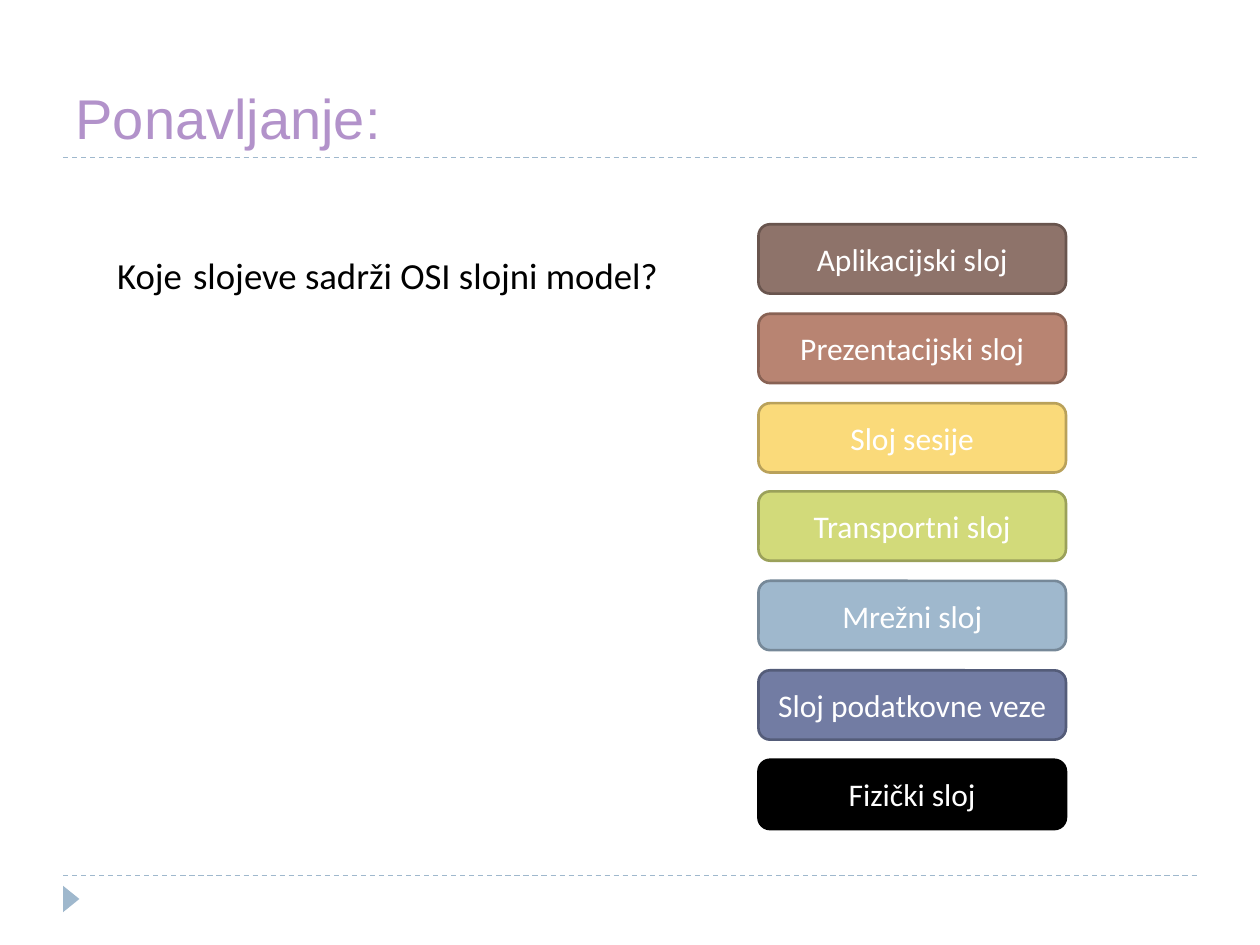
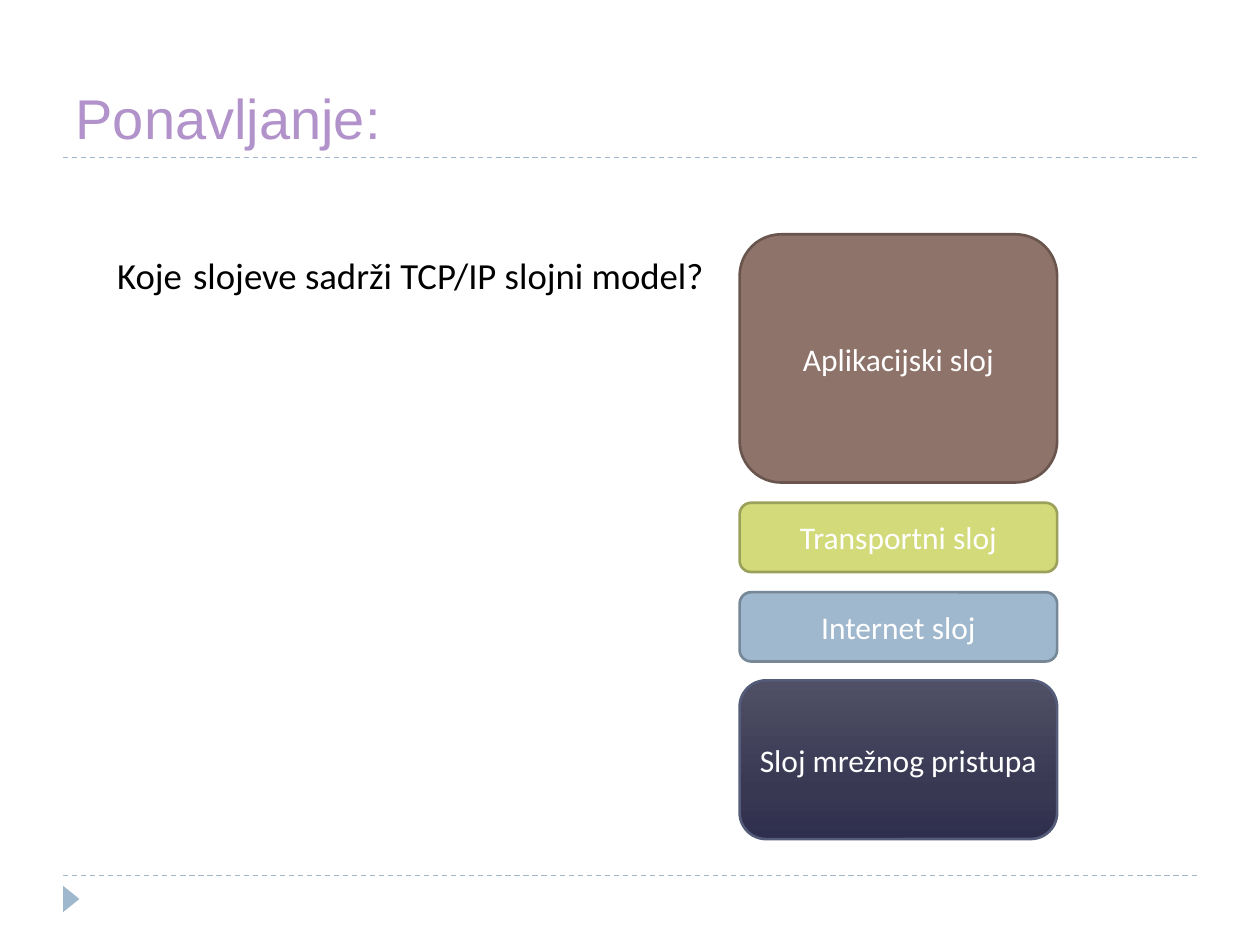
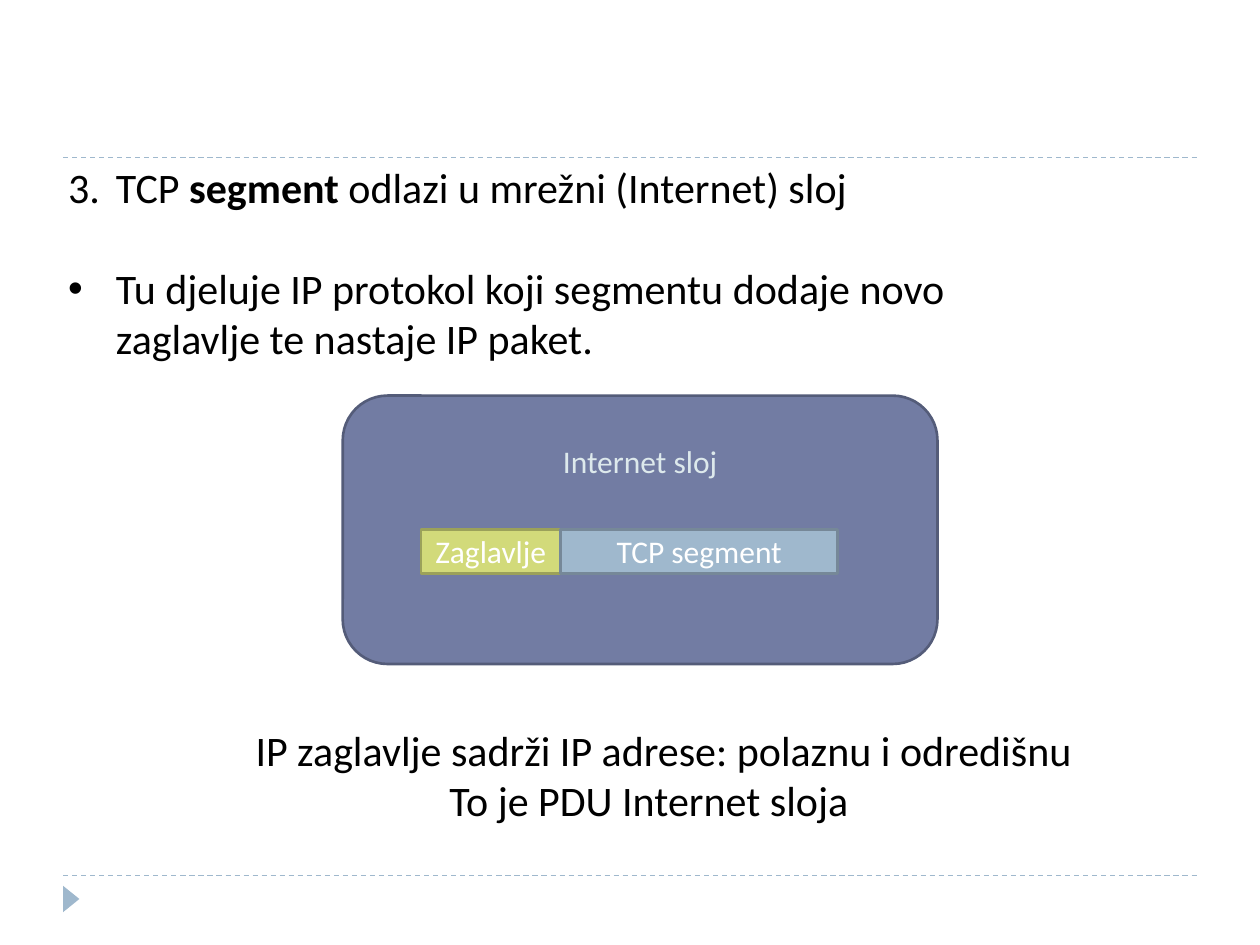
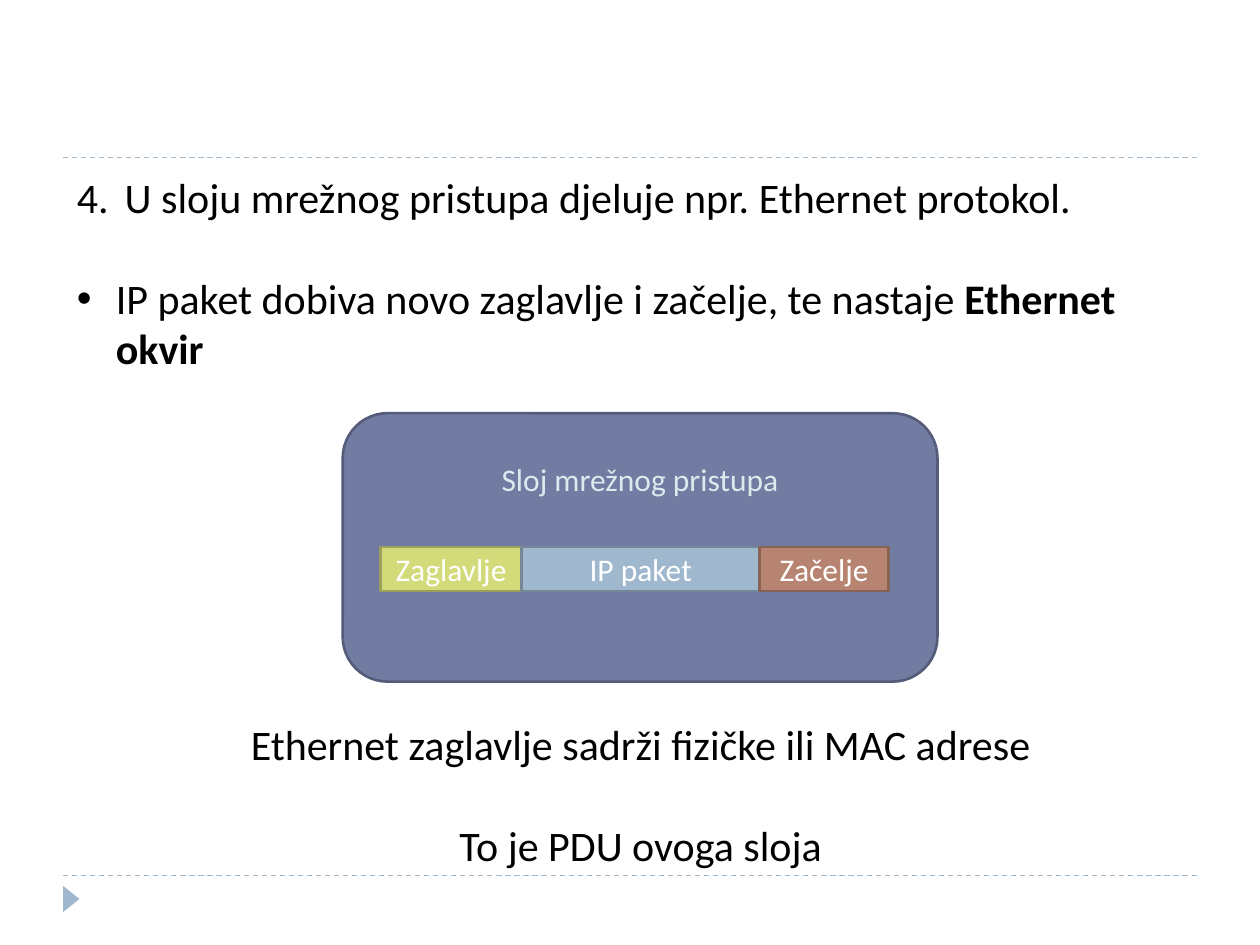
from copy import deepcopy

from lxml import etree
from pptx import Presentation
from pptx import util as u
from pptx.dml.color import RGBColor
from pptx.enum import dml, shapes, text
from pptx.oxml.ns import qn

PX = 9144  # EMU per px, 100 px to the inch

BLACK = RGBColor(0x00, 0x00, 0x00)
WHITE = RGBColor(0xFF, 0xFF, 0xFF)
LILAC = RGBColor(0xB2, 0x92, 0xCA)
PALE = RGBColor(0xDD, 0xE9, 0xEC)
SKY = RGBColor(0x9F, 0xB8, 0xCD)

# Fill and outline of each kind of layer
BROWN = RGBColor(0x8E, 0x73, 0x6A), RGBColor(0x69, 0x55, 0x4E)
RUST = RGBColor(0xB8, 0x84, 0x72), RGBColor(0x88, 0x62, 0x54)
YELLOW = RGBColor(0xFA, 0xDA, 0x7A), RGBColor(0xB9, 0xA1, 0x5A)
GREEN = RGBColor(0xD2, 0xDA, 0x7A), RGBColor(0x9B, 0xA1, 0x5A)
BLUE = SKY, RGBColor(0x76, 0x88, 0x98)
INDIGO = RGBColor(0x72, 0x7C, 0xA3), RGBColor(0x54, 0x5C, 0x79)
DARK = BLACK, BLACK
NIGHT = [(0, RGBColor(0x2E, 0x2E, 0x4D)), (0.3, RGBColor(0x38, 0x38, 0x53)),
         (1, RGBColor(0x4F, 0x4F, 0x65))]

HEAD = {"name": "Arial", "size": 32, "color": LILAC}
ASK = {"name": "Calibri", "size": 21, "color": BLACK}
BODY = {"name": "Calibri", "size": 24, "color": BLACK}
LABEL = {"name": "Calibri", "size": 18, "color": WHITE}
NAME = {**LABEL, "color": PALE}

LEFT, MID = text.PP_ALIGN.LEFT, text.PP_ALIGN.CENTER
ROUND = shapes.MSO_SHAPE.ROUNDED_RECTANGLE
RECT = shapes.MSO_SHAPE.RECTANGLE
GAP = 29  # points between separate paragraphs


def place(item, at):
    item.left, item.top, item.width, item.height = [n * PX for n in at]


def style(font, form):
    for key, val in form.items():
        if key == "color":
            font.color.rgb = val
        else:
            setattr(font, key, u.Pt(val) if key == "size" else val)


def write(para, runs, form, align=LEFT, gap=0):
    """Fill a paragraph with runs, each a string or (string, changes)."""
    para.alignment = align
    para.space_before = u.Pt(gap)
    for part in [runs] if isinstance(runs, str) else runs:
        words, extra = (part, {}) if isinstance(part, str) else part
        run = para.add_run()
        run.text = words
        style(run.font, {**form, **extra})


def mark(para, indent=0, start=None):
    """Set the hanging indent and a number, a bullet or no mark."""
    props = para._p.get_or_add_pPr()
    props.set("marL", str(indent * PX))
    props.set("indent", str(-indent * PX))
    if start:
        etree.SubElement(props, qn("a:buAutoNum"), type="arabicPeriod", startAt=str(start))
    elif indent:
        etree.SubElement(props, qn("a:buFont"), typeface="Arial")
        etree.SubElement(props, qn("a:buChar"), char="•")
    else:
        etree.SubElement(props, qn("a:buNone"))


def title(slide, words):
    head = slide.shapes.title
    place(head, (50, 17, 900, 108))
    head.text_frame.vertical_anchor = text.MSO_ANCHOR.BOTTOM
    write(head.text_frame.paragraphs[0], words, HEAD)


def body(slide, at, items, form):
    """Fill the body with items of (runs, indent, first number)."""
    hold = slide.placeholders[1]
    place(hold, at)
    frame = hold.text_frame
    frame.auto_size = text.MSO_AUTO_SIZE.NONE
    for i, (runs, indent, start) in enumerate(items):
        para = frame.add_paragraph() if i else frame.paragraphs[0]
        mark(para, indent, start)
        write(para, runs, form, gap=GAP if i else 0)


def note(slide, at, lines, form, align=MID):
    box = slide.shapes.add_textbox(*[n * PX for n in at])
    frame = box.text_frame
    frame.word_wrap = False
    for i, line in enumerate(lines):
        para = frame.add_paragraph() if i else frame.paragraphs[0]
        write(para, line, form, align, GAP if i else 0)


def block(slide, kind, at, tone, words=""):
    box = slide.shapes.add_shape(kind, *[n * PX for n in at])
    box.shadow.inherit = False
    box.fill.solid()
    box.fill.fore_color.rgb, box.line.color.rgb = tone
    box.line.width = u.Pt(1.5)
    if words:
        box.text_frame.word_wrap = False
        box.text_frame.vertical_anchor = text.MSO_ANCHOR.MIDDLE
        write(box.text_frame.paragraphs[0], words, LABEL, MID)
    return box


def fade(box, stops):
    """Give a shape a gradient that rises from the bottom."""
    box.fill.gradient()
    box.fill.gradient_angle = 90
    rows = box.element.spPr.find(qn("a:gradFill")).find(qn("a:gsLst"))
    while len(rows) < len(stops):
        rows.append(deepcopy(rows[0]))
    for stop, (pos, tint) in zip(box.fill.gradient_stops, stops):
        stop.position = pos
        stop.color.rgb = tint


def rule(slide, y):
    line = slide.shapes.add_connector(shapes.MSO_CONNECTOR.STRAIGHT,
                                      50 * PX, y * PX, 950 * PX, y * PX)
    line.line.color.rgb = SKY
    line.line.width = u.Pt(0.75)
    line.line.dash_style = dml.MSO_LINE.DASH
    etree.SubElement(line.element.spPr, qn("a:effectLst"))
    return line


def trim(slide, layout):
    """Draw the rules and corner arrow, then move them to the layout."""
    arrow = slide.shapes.add_shape(shapes.MSO_SHAPE.ISOSCELES_TRIANGLE,
                                   46 * PX, 707 * PX, 21 * PX, 13 * PX)
    arrow.rotation = 90
    arrow.shadow.inherit = False
    arrow.fill.solid()
    arrow.fill.fore_color.rgb = SKY
    arrow.line.fill.background()
    for i, item in enumerate([rule(slide, 695), rule(slide, 125), arrow]):
        item.element.xpath(".//p:cNvPr")[0].set("id", str(20 + i))
        layout.shapes.element.append(item.element)


def review(slide, model):
    title(slide, "Ponavljanje:")
    ask = ["Koje", (" ", {"size": 28}), f"slojeve sadrži {model} slojni model?"]
    body(slide, (83, 186, 496, 104), [(ask, 0, None)], ASK)


def stack(slide, x, top, wide, rows):
    """Stack layers of (words, tone, height) with equal gaps."""
    for words, tone, high in rows:
        box = block(slide, ROUND, (x, round(top), wide, high), tone, words)
        top += high + 15.83
    return box


def packet(slide, top, name, x, cells):
    """Draw a layer holding a row of (words, tone, width) cells."""
    block(slide, ROUND, (272, top, 472, 213), INDIGO)
    note(slide, (387, top + 32, 242, 40), [name], NAME)
    for words, tone, wide in cells:
        block(slide, RECT, (x, top + 106, wide, 35), tone, words)
        x += wide


def main():
    deck = Presentation()
    deck.slide_width, deck.slide_height = 1000 * PX, 750 * PX
    layout = deck.slide_layouts[1]
    osi, tcp, net, link = [deck.slides.add_slide(layout) for _ in range(4)]
    trim(osi, layout)

    # OSI layers
    review(osi, "OSI")
    layers = [("Aplikacijski sloj", BROWN), ("Prezentacijski sloj", RUST),
              ("Sloj sesije", YELLOW), ("Transportni sloj", GREEN),
              ("Mrežni sloj", BLUE), ("Sloj podatkovne veze", INDIGO),
              ("Fizički sloj", DARK)]
    stack(osi, 602, 178, 244, [(*layer, 55) for layer in layers])

    # TCP/IP layers
    review(tcp, "TCP/IP")
    last = stack(tcp, 587, 186, 252, [
        ("Aplikacijski sloj", BROWN, 197), ("Transportni sloj", GREEN, 55),
        ("Internet sloj", BLUE, 55), ("Sloj mrežnog pristupa", INDIGO, 126)])
    fade(last, NIGHT)

    # Internet layer
    bold = {"bold": True}
    body(net, (44, 123, 801, 172), [
        (["TCP ", ("segment", bold), " odlazi u mrežni (Internet) sloj"], 38, 3),
        ("Tu djeluje IP protokol koji segmentu dodaje novo zaglavlje "
         "te nastaje IP paket.", 38, None)], BODY)
    packet(net, 314, "Internet sloj", 334,
           [("Zaglavlje", GREEN, 111), ("TCP segment", BLUE, 220)])
    note(net, (193, 570, 674, 50),
         ["IP zaglavlje sadrži IP adrese: polaznu i odredišnu"], BODY, LEFT)
    note(net, (328, 610, 374, 50), ["To je PDU Internet sloja"], BODY)

    # Network access layer
    body(link, (51, 131, 874, 172), [
        ("U sloju mrežnog pristupa djeluje npr. Ethernet protokol.", 38, 4),
        (["IP paket dobiva novo zaglavlje i začelje, te nastaje ",
          ("Ethernet okvir", bold)], 31, None)], BODY)
    packet(link, 328, "Sloj mrežnog pristupa", 302,
           [("Zaglavlje", GREEN, 112), ("IP paket", BLUE, 189), ("Začelje", RUST, 102)])
    note(link, (186, 565, 645, 131),
         ["Ethernet zaglavlje sadrži fizičke ili MAC adrese",
          "To je PDU ovoga sloja"], BODY)

    # Drop the unused titles
    for slide in (net, link):
        head = slide.shapes.title.element
        head.getparent().remove(head)

    deck.save("out.pptx")


if __name__ == "__main__":
    main()
